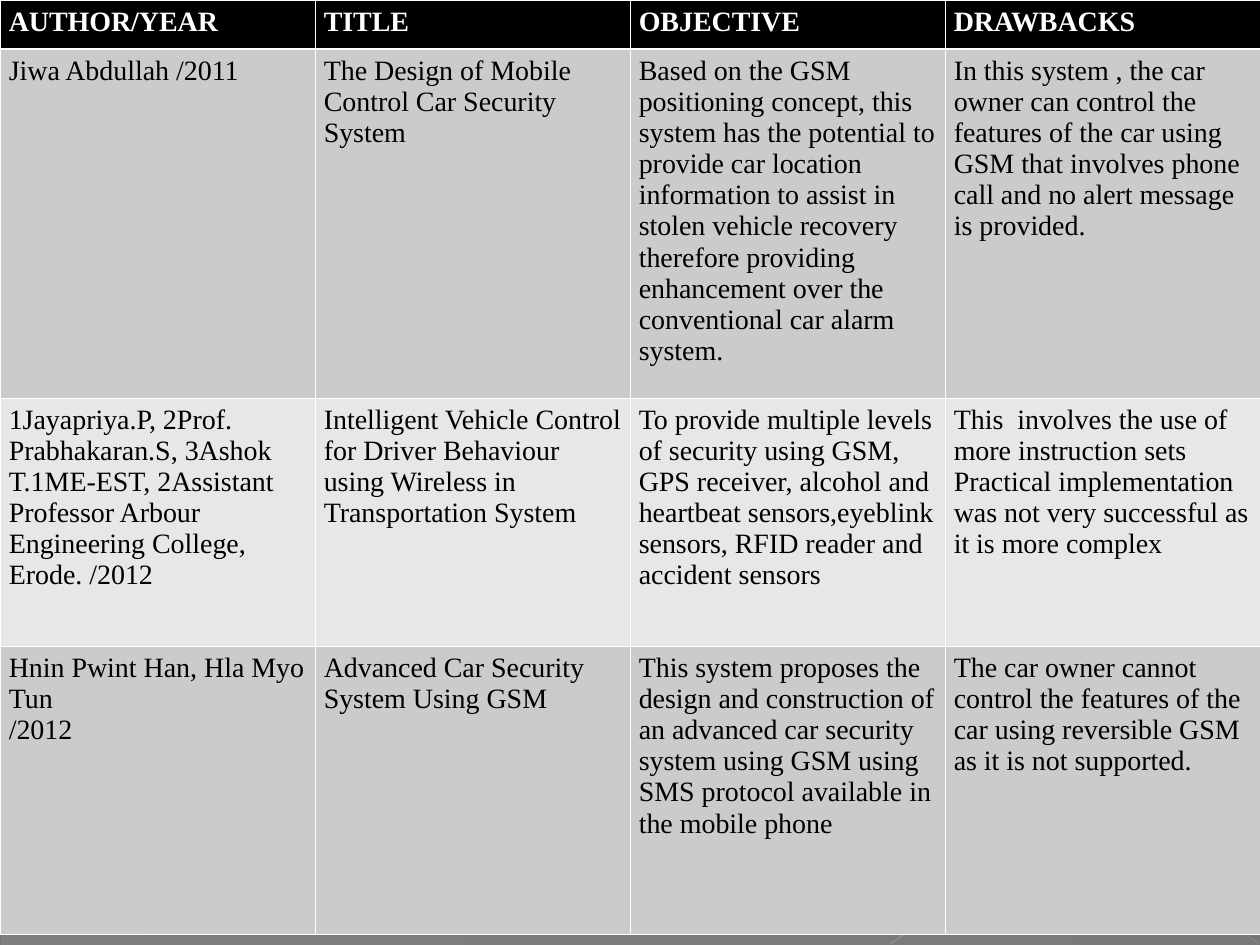
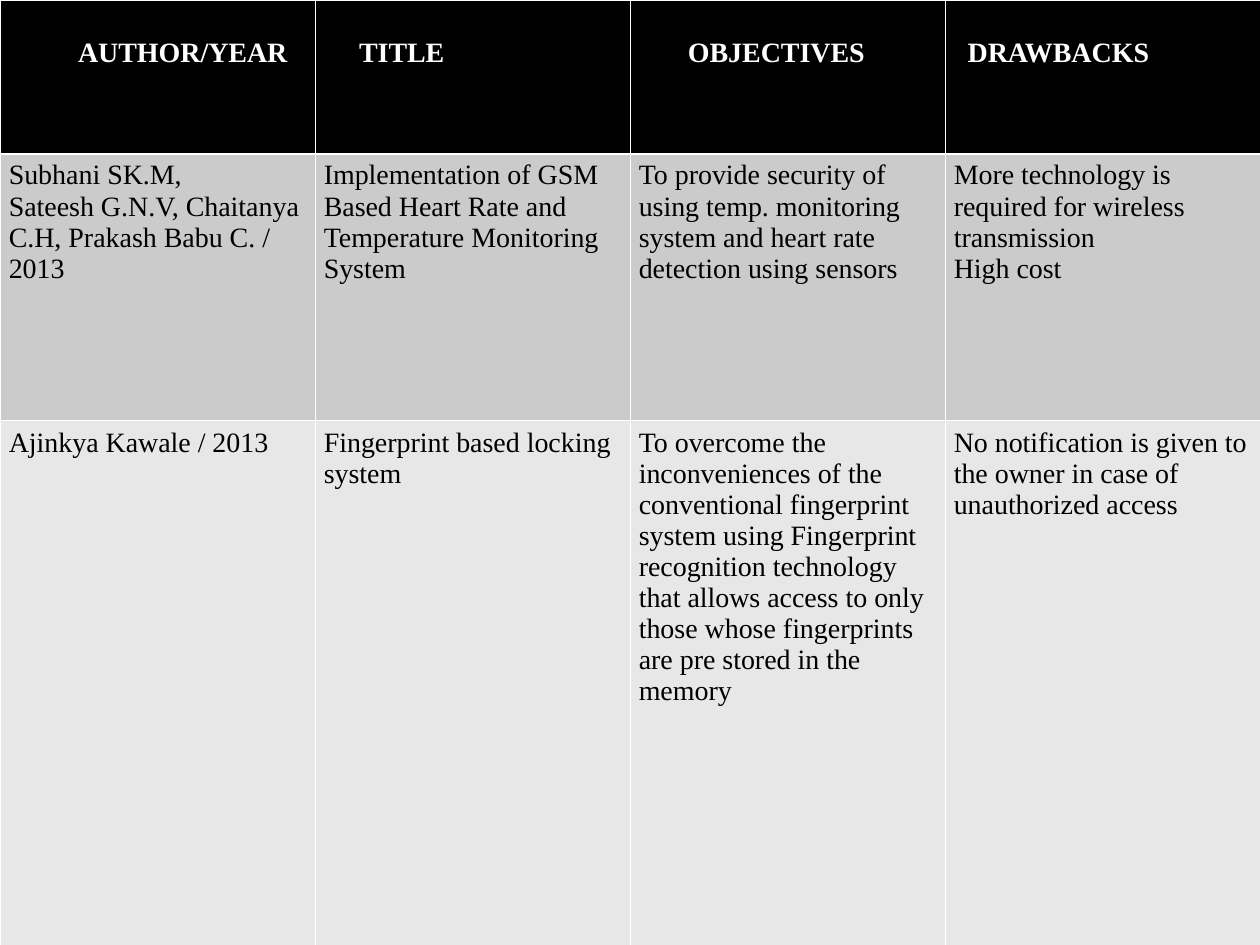
"""Builds two slides that compare earlier work on vehicle security."""
from lxml import etree
from pptx import Presentation
from pptx import util as u
from pptx.dml.color import RGBColor
from pptx.enum import shapes
from pptx.oxml.ns import qn

FONT = "Times New Roman"
COLORS = {
    "top": "212121", "bottom": "757575", "veil": "E3DED1",
    "diagonal": "B6B6B6", "corner": "BEBEBE", "white": "FFFFFF",
    "black": "000000", "dark_band": "CBCBCB", "light_band": "E7E7E7",
}
COLUMN_WIDTH, SIDE_MARGIN, TOP_MARGIN = 2.5, 0.07, 0.05
THIN, THICK = 0.45, 1.47

EARLY_STUDIES = [
    ["AUTHOR/YEAR", "TITLE", "OBJECTIVE", "DRAWBACKS"],
    ["Jiwa Abdullah /2011",
     "The Design of Mobile Control Car Security System",
     "Based on the GSM positioning concept, this system has the potential to "
     "provide car location information to assist in stolen vehicle recovery "
     "therefore providing enhancement over the conventional car alarm system.",
     "In this system , the car owner can control the features of the car using "
     "GSM that involves phone call and no alert message is provided."],
    ["1Jayapriya.P, 2Prof. Prabhakaran.S, 3Ashok T.1ME-EST, 2Assistant "
     "Professor Arbour Engineering College, Erode. /2012",
     "Intelligent Vehicle Control for Driver Behaviour using Wireless in "
     "Transportation System",
     "To provide multiple levels of security using GSM, GPS receiver, alcohol "
     "and heartbeat sensors,eyeblink sensors, RFID reader and accident sensors",
     "This  involves the use of more instruction sets\n"
     "Practical implementation was not very successful as it is more complex"],
    ["Hnin Pwint Han, Hla Myo Tun\n/2012",
     "Advanced Car Security System Using GSM",
     "This system proposes the design and construction of an advanced car "
     "security system using GSM using SMS protocol available in the mobile phone",
     "The car owner cannot control the features of the car using reversible GSM "
     "as it is not supported."],
]
LATER_STUDIES = [
    ["AUTHOR/YEAR", "TITLE", "OBJECTIVES", "DRAWBACKS"],
    ["Subhani SK.M,\nSateesh G.N.V, Chaitanya C.H, Prakash Babu C. / 2013",
     "Implementation of GSM Based Heart Rate and\nTemperature Monitoring System",
     "To provide security of using temp. monitoring system and heart rate "
     "detection using sensors",
     "More technology is required for wireless transmission\nHigh cost"],
    ["Ajinkya Kawale / 2013",
     "Fingerprint based locking system",
     "To overcome the inconveniences of the conventional fingerprint system "
     "using Fingerprint recognition technology that allows access to only those "
     "whose fingerprints are pre stored in the memory",
     "No notification is given to the owner in case of unauthorized access"],
]


def color(name):
    """Return the named colour."""
    return RGBColor.from_string(COLORS[name])


def set_alpha(element, *percents):
    """Give the colours inside an element their opacities, in order."""
    for tint, percent in zip(element.iter(qn("a:srgbClr")), percents):
        etree.SubElement(tint, qn("a:alpha")).set("val", str(percent * 1000))


def set_gradient(fill, start, end, clockwise_angle):
    """Fill with a linear gradient between two named colours."""
    fill.gradient()
    fill.gradient_angle = 360 - clockwise_angle
    for stop, name, position in zip(fill.gradient_stops, (start, end), (0, 1)):
        stop.color.rgb = color(name)
        stop.position = position


def add_line(page, start, end, name, width, opacity):
    """Draw a translucent straight line between two points in inches."""
    line = page.shapes.add_connector(
        shapes.MSO_CONNECTOR.STRAIGHT, *map(u.Inches, start + end))
    line.line.color.rgb = color(name)
    line.line.width = u.Pt(width)
    properties = line._element.spPr
    set_alpha(properties, opacity)
    etree.SubElement(properties, qn("a:effectLst"))


def add_page(deck):
    """Add a blank page with the shared triangle and diagonal lines."""
    page = deck.slides.add_slide(deck.slide_layouts[6])
    veil = page.shapes.add_shape(
        shapes.MSO_SHAPE.RIGHT_TRIANGLE,
        *map(u.Inches, (0.01, 0.02, 9.99, 7.48)))
    veil.shadow.inherit = False
    veil.line.fill.background()
    set_gradient(veil.fill, "veil", "veil", 133)
    set_alpha(veil._element.spPr, 1, 10)
    add_line(page, (0, 0.01), (9.99, 7.49), "diagonal", 0.4, 35)
    add_line(page, (10, 5.41), (7.07, 7.49), "corner", 0.48, 45)
    return page


def set_borders(cell, top, bottom):
    """Give a cell white borders, with its own top and bottom widths."""
    properties = cell._tc.get_or_add_tcPr()
    widths = {"lnL": THIN, "lnR": THIN, "lnT": top, "lnB": bottom}
    for side, width in widths.items():
        border = etree.SubElement(
            properties, qn(f"a:{side}"), w=str(u.Pt(width)))
        fill = etree.SubElement(border, qn("a:solidFill"))
        etree.SubElement(fill, qn("a:srgbClr"), val=COLORS["white"])


def style_cell(cell, words, row):
    """Write a cell and style it as a header or as one of the bands."""
    header = row == 0
    set_borders(cell, THICK if row == 1 else THIN, THICK if header else THIN)
    cell.fill.solid()
    band = "dark_band" if row % 2 else "light_band"
    cell.fill.fore_color.rgb = color("black" if header else band)
    cell.margin_left = cell.margin_right = u.Inches(SIDE_MARGIN)
    cell.margin_top = cell.margin_bottom = u.Inches(TOP_MARGIN)
    cell.text = words
    for para in cell.text_frame.paragraphs:
        para.font.name = FONT
        para.font.size = u.Pt(16)
        para.font.bold = header
        para.font.color.rgb = color("white" if header else "black")


def add_study_table(page, studies, heights):
    """Add a full-width table of studies and return it."""
    columns = len(studies[0])
    table = page.shapes.add_table(
        len(studies), columns, 0, 0, u.Inches(COLUMN_WIDTH * columns),
        u.Inches(sum(heights))).table
    table.horz_banding = False
    for column in table.columns:
        column.width = u.Inches(COLUMN_WIDTH)
    for row, (study, height) in enumerate(zip(studies, heights)):
        table.rows[row].height = u.Inches(height)
        for column, words in enumerate(study):
            style_cell(table.cell(row, column), words, row)
    return table


def indent_headers(table, indents, drop):
    """Move the header words right and down by lengths in inches."""
    for cell, indent in zip(table.rows[0].cells, indents):
        cell.margin_left = u.Inches(SIDE_MARGIN + indent)
        cell.margin_top = u.Inches(TOP_MARGIN + drop)


def main():
    """Build and save the deck."""
    deck = Presentation()
    deck.slide_width, deck.slide_height = u.Inches(10), u.Inches(7.5)
    set_gradient(deck.slide_master.background.fill, "top", "bottom", 90)
    add_study_table(add_page(deck), EARLY_STUDIES, (0.39, 2.77, 1.97, 2.29))
    later = add_study_table(add_page(deck), LATER_STUDIES, (1.22, 2.12, 4.16))
    indent_headers(later, (0.55, 0.28, 0.39, 0.11), 0.25)
    deck.save("out.pptx")


if __name__ == "__main__":
    main()
